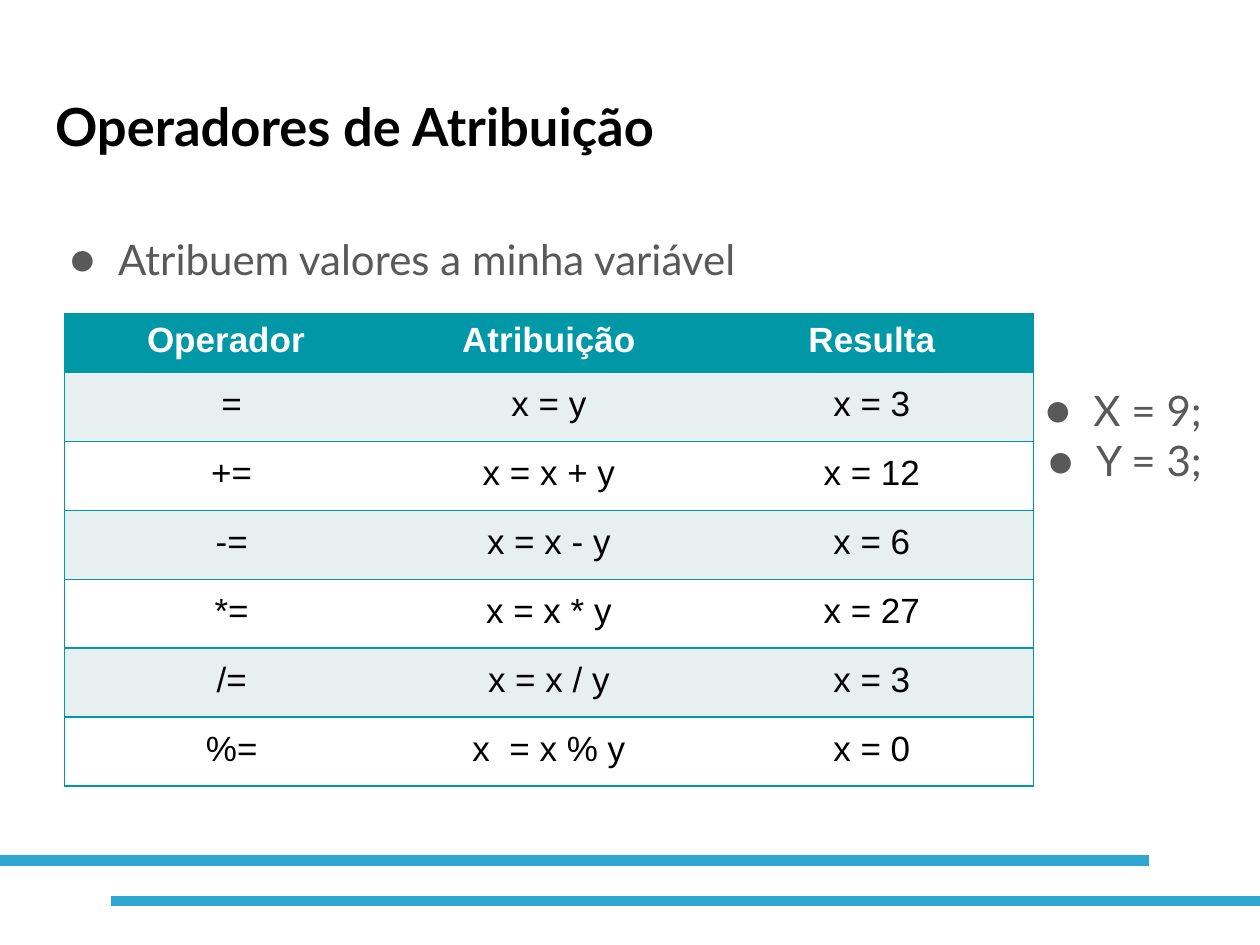
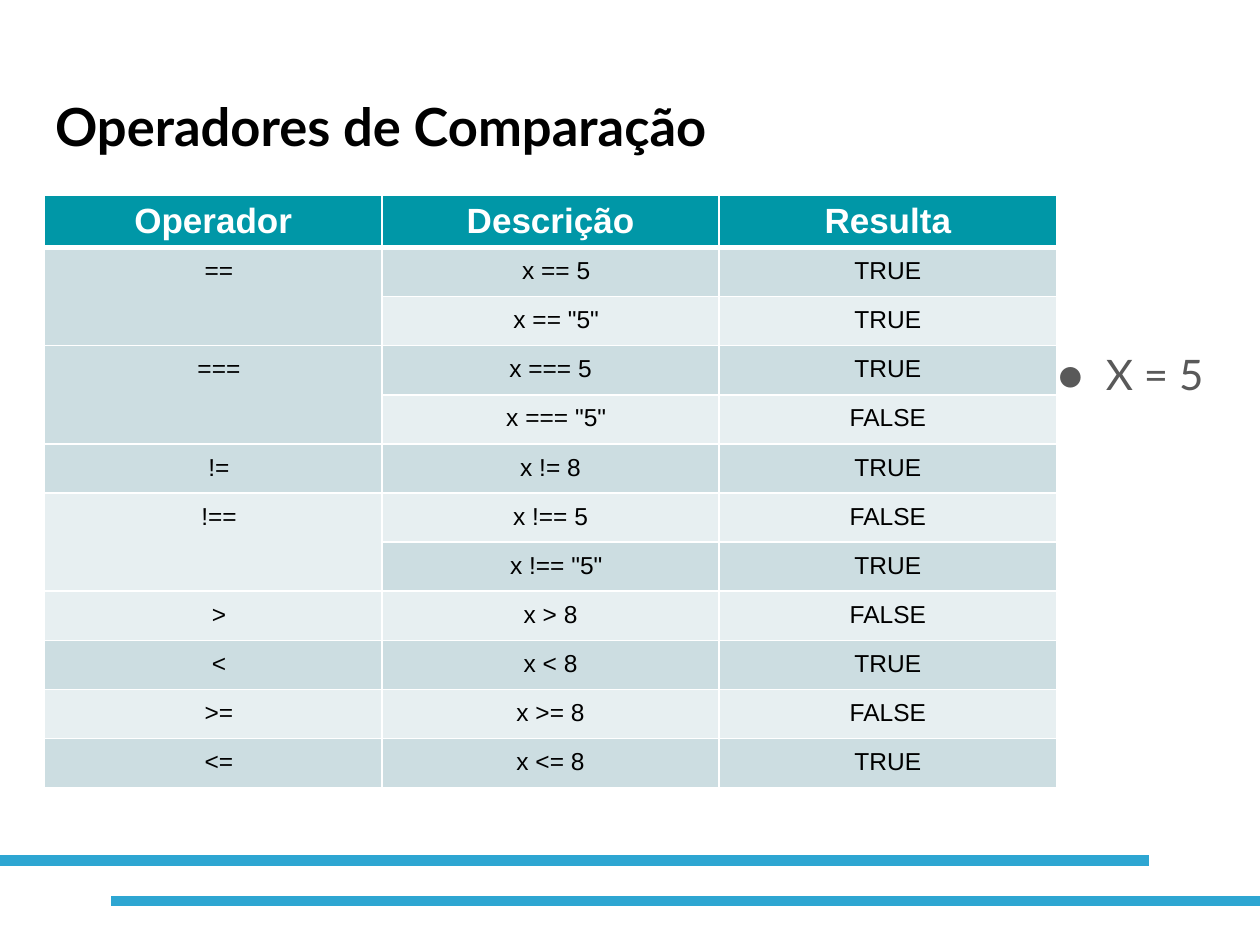
from lxml.etree import SubElement
from pptx import Presentation
from pptx.dml.color import RGBColor
from pptx.enum.shapes import MSO_CONNECTOR
from pptx.enum.text import MSO_ANCHOR, MSO_AUTO_SIZE, PP_ALIGN
from pptx.oxml.ns import qn
from pptx.util import Cm, Pt

TEAL = RGBColor(0x00, 0x97, 0xA7)
BLUE = RGBColor(0x2E, 0xA6, 0xD2)
GREY = RGBColor(0x59, 0x59, 0x59)
BLACK = RGBColor(0, 0, 0)
WHITE = RGBColor(0xFF, 0xFF, 0xFF)
PALE = RGBColor(0xE7, 0xEF, 0xF1)
MIST = RGBColor(0xCC, 0xDD, 0xE1)

SLIDE_WIDTH, SLIDE_HEIGHT = Cm(25.4), Cm(19.05)
TITLE_BOX = (Cm(0.86), Cm(1.65), Cm(23.67), Cm(2.11))
INSET = Cm(0.25)


def write_text(paragraph, text, size=24, font="Lato", color=GREY, bold=False,
               align=PP_ALIGN.LEFT, before=0):
    """Write one formatted run into a paragraph."""
    paragraph.alignment = align
    paragraph.space_before = Pt(before)
    run = paragraph.add_run()
    run.text = text
    run.font.size = Pt(size)
    run.font.name = font
    run.font.bold = bold
    run.font.color.rgb = color


def add_bullet(paragraph, color=GREY):
    """Give a paragraph a hanging round bullet."""
    properties = paragraph._p.get_or_add_pPr()
    properties.set("marL", str(Cm(1.27)))
    properties.set("indent", str(-Cm(0.97)))
    bullet_color = SubElement(properties, qn("a:buClr"))
    SubElement(bullet_color, qn("a:srgbClr"), val=str(color))
    SubElement(properties, qn("a:buFont"), typeface="Lato")
    SubElement(properties, qn("a:buChar"), char="●")


def place_frame(shape, box, top_inset=INSET):
    """Move a placeholder to a box and return its prepared text frame."""
    shape.left, shape.top, shape.width, shape.height = box
    frame = shape.text_frame
    frame.margin_left = frame.margin_right = frame.margin_bottom = INSET
    frame.margin_top = top_inset
    frame.vertical_anchor = MSO_ANCHOR.TOP
    frame.auto_size = MSO_AUTO_SIZE.NONE
    frame.word_wrap = True
    return frame


def add_title(slide, text):
    """Fill the title placeholder."""
    frame = place_frame(slide.shapes.title, TITLE_BOX)
    write_text(frame.paragraphs[0], text, size=30, color=BLACK, bold=True)


def add_list(slide, box, items, top_inset=INSET):
    """Fill the body placeholder with (text, alignment, space before) bullets."""
    frame = place_frame(slide.placeholders[1], box, top_inset)
    for index, (text, align, before) in enumerate(items):
        paragraph = frame.add_paragraph() if index else frame.paragraphs[0]
        write_text(paragraph, text, align=align, before=before)
        add_bullet(paragraph)


def set_border(cell, side, color=None, width=1):
    """Draw one side of a cell, or clear it when no colour is given."""
    line = SubElement(cell._tc.get_or_add_tcPr(), qn(f"a:ln{side}"), w=str(Pt(width)))
    if color is None:
        SubElement(line, qn("a:noFill"))
    else:
        fill = SubElement(line, qn("a:solidFill"))
        SubElement(fill, qn("a:srgbClr"), val=str(color))


def frame_borders(row, column, last_column):
    """Return teal rules around the table and between its rows only."""
    return {"L": (None if column else TEAL, 1),
            "R": (TEAL if column == last_column else None, 1),
            "T": (TEAL, 1), "B": (TEAL, 1)}


def grid_borders(row, column, last_column):
    """Return a white grid with a heavier rule under the header."""
    return {"L": (WHITE, 1), "R": (WHITE, 1),
            "T": (WHITE, 1 if row != 1 else 3), "B": (WHITE, 1 if row else 3)}


def add_operator_table(slide, box, rows, header_height, header_margins, size, margin,
                       indent, bands, borders, indented=()):
    """Add a banded table in a box; None as text continues the cell above."""
    left, top, width, row_height = box
    columns = len(rows[0])
    height = header_height + row_height * (len(rows) - 1)
    table = slide.shapes.add_table(len(rows), columns, left, top, width, height).table
    for column in table.columns:
        column.width = width // columns
    for row, texts in enumerate(rows):
        table.rows[row].height = row_height if row else header_height
        for column, text in enumerate(texts):
            cell = table.cell(row, column)
            if text is None:
                table.cell(row - 1, column).merge(cell)
                continue
            for side, (color, line_width) in borders(row, column, columns - 1).items():
                set_border(cell, side, color, line_width)
            cell.fill.solid()
            cell.fill.fore_color.rgb = bands[row % 2] if row else TEAL
            across, down = (margin, margin) if row else header_margins
            wide = row and (column == 0 or (row, column) in indented)
            cell.margin_left = indent if wide else across
            cell.margin_right = across
            cell.margin_top = cell.margin_bottom = down
            write_text(cell.text_frame.paragraphs[0], text, font="Arial",
                       size=size if row else 20, color=BLACK if row else WHITE,
                       bold=not row, align=PP_ALIGN.CENTER)


def add_footer_lines(presentation, slide):
    """Draw the two footer lines and hand them to the slide master."""
    master_tree = presentation.slide_master.shapes.element
    lines = ((Cm(2.24), SLIDE_WIDTH, Cm(18.16)), (0, Cm(23.16), Cm(17.35)))
    for number, (start, end, y) in enumerate(lines):
        line = slide.shapes.add_connector(MSO_CONNECTOR.STRAIGHT, start, y, end, y)
        line.line.color.rgb = BLUE
        line.line.width = Pt(6)
        SubElement(line.element.spPr, qn("a:effectLst"))
        line.element.nvCxnSpPr.cNvPr.set("id", str(100 + number))
        master_tree.append(line.element)


def build_assignment_slide(slide):
    """Build the slide on assignment operators."""
    add_title(slide, "Operadores de Atribuição")
    add_list(slide, (Cm(0.86), Cm(4.45), Cm(23.62), Cm(11.43)), (
        ("Atribuem valores a minha variável", PP_ALIGN.LEFT, 0),
        ("X = 9;", PP_ALIGN.RIGHT, 57.6),
        ("Y = 3;", PP_ALIGN.RIGHT, 0)))
    rows = (("Operador", "Atribuição", "Resulta"),
            ("=", "x = y", "x = 3"),
            ("+=", "x = x + y", "x = 12"),
            ("-=", "x = x - y", "x = 6"),
            ("*=", "x = x * y", "x = 27"),
            ("/=", "x = x / y", "x = 3"),
            ("%=", "x  = x % y", "x = 0"))
    add_operator_table(slide, (Cm(1.3), Cm(6.32), Cm(19.53), Cm(1.39)), rows,
                       header_height=Cm(1.19), header_margins=(Cm(0.3), Cm(0.15)),
                       size=20, margin=INSET, indent=Cm(0.48),
                       bands=(WHITE, PALE), borders=frame_borders)


def build_comparison_slide(slide):
    """Build the slide on comparison operators."""
    add_title(slide, "Operadores de Comparação")
    add_list(slide, (Cm(0.89), Cm(3.73), Cm(23.62), Cm(11.43)),
             (("X = 5", PP_ALIGN.RIGHT, 0),), top_inset=Cm(3.3))
    rows = (("Operador", "Descrição", "Resulta"),
            ("==", "x == 5", "TRUE"),
            (None, 'x == "5"', "TRUE"),
            ("===", "x === 5", "TRUE"),
            (None, 'x === "5"', "FALSE"),
            ("!=", "x != 8", "TRUE"),
            ("!==", "x !== 5", "FALSE"),
            (None, 'x !== "5"', "TRUE"),
            (">", "x > 8", "FALSE"),
            ("<", "x < 8", "TRUE"),
            (">=", "x >= 8", "FALSE"),
            ("<=", "x <= 8", "TRUE"))
    add_operator_table(slide, (Cm(0.9), Cm(3.94), Cm(20.4), Cm(0.99)), rows,
                       header_height=Cm(1.02), header_margins=(INSET, Cm(0.13)),
                       size=14, margin=Cm(0.2), indent=Cm(0.43),
                       bands=(PALE, MIST), borders=grid_borders,
                       indented=((1, 1), (2, 1), (4, 1), (7, 1)))


def main():
    """Build and save the presentation."""
    presentation = Presentation()
    presentation.slide_width, presentation.slide_height = SLIDE_WIDTH, SLIDE_HEIGHT
    layout = presentation.slide_layouts[1]
    slides = [presentation.slides.add_slide(layout) for _ in range(2)]
    add_footer_lines(presentation, slides[0])
    build_assignment_slide(slides[0])
    build_comparison_slide(slides[1])
    presentation.save("out.pptx")


main()
